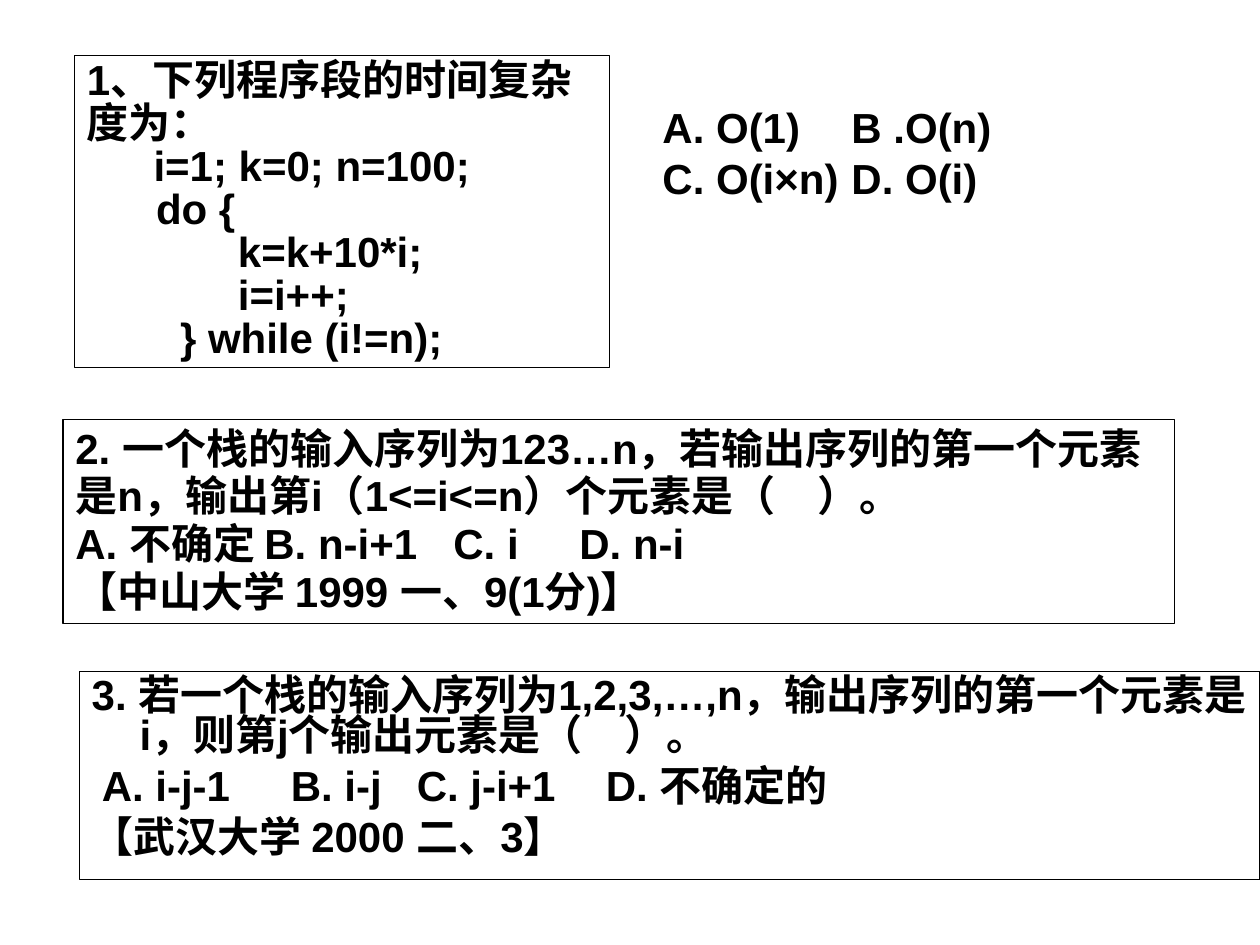
from pptx import Presentation
from pptx.dml.color import RGBColor
from pptx.enum.text import MSO_ANCHOR
from pptx.oxml.ns import qn
from pptx.util import Inches, Pt
from lxml.etree import SubElement

COLORS = {"ink": "000000"}
INK = RGBColor.from_string(COLORS["ink"])

# Paragraphs: text, left margin, first-line indent, tab stops (inches)
complexity = [
    ("1、下列程序段的时间复杂度为：", 0, 0, []),
    ("i=1; k=0; n=100;", 0.53, 0, []),
    ("do {", 0.55, 0, []),
    ("k=k+10*i;", 1.2, 0, []),
    ("i=i++;", 1.2, 0, []),
    ("} while (i!=n);", 0.74, 0, []),
]
complexity_options = [
    ("A. O(1)\tB .O(n)", 0, 0, [2.2]),
    ("C. O(i×n)\tD. O(i)", 0, 0, [2.04]),
]
stack_n = [
    ("2. 一个栈的输入序列为123…n，若输出序列的第一个元素是n，"
     "输出第i（1<=i<=n）个元素是（　）。", 0, 0, []),
    ("A. 不确定\tB. n-i+1\tC. i\tD. n-i", 0, 0, [2.35, 4.48, 6.1]),
    ("【中山大学 1999 一、9(1分)】", 0, 0, []),
]
stack_i = [
    ("3. 若一个栈的输入序列为1,2,3,…,n，输出序列的第一个元素是i，"
     "则第j个输出元素是（　）。", 0.38, -0.38, []),
    ("A. i-j-1\tB. i-j\tC. j-i+1\tD. 不确定的", 0.08, 0, [2.02, 3.85, 5.51]),
    ("【武汉大学 2000 二、3】", 0, 0, []),
]

# Boxes: left, top, width, height, line spacing, space before, framed, paragraphs
boxes = [
    (0.63, 5.33, 9.37, 1.65, 0.8, 6, True, stack_i),
    (0.59, 0.44, 4.25, 2.48, 0.85, 0, True, complexity),
    (0.5, 3.33, 8.82, 1.62, 0.95, 0, True, stack_n),
    (5.16, 0.76, 4.17, 0.9, 1.0, 0, False, complexity_options),
]

prs = Presentation()
prs.slide_width, prs.slide_height = Inches(10), Inches(7.5)
s = prs.slides.add_slide(prs.slide_layouts[6])

for left, top, width, height, spacing, before, framed, paragraphs in boxes:
    sp = s.shapes.add_textbox(Inches(left), Inches(top), Inches(width), Inches(height))
    if framed:
        sp.line.color.rgb = INK
        sp.line.width = Pt(0.75)
    tf = sp.text_frame
    tf.word_wrap = True
    tf.vertical_anchor = MSO_ANCHOR.TOP
    for i, (text, margin, indent, tabs) in enumerate(paragraphs):
        p = tf.add_paragraph() if i else tf.paragraphs[0]
        p.text = text
        p.line_spacing = spacing
        p.space_before = Pt(before)
        pPr = p._p.get_or_add_pPr()
        pPr.set("marL", str(Inches(margin)))
        pPr.set("indent", str(Inches(indent)))
        if tabs:
            tab_list = SubElement(pPr, qn("a:tabLst"))
            for tab in tabs:
                SubElement(tab_list, qn("a:tab"), pos=str(Inches(tab)), algn="l")
        for r in p.runs:
            r.font.name = "Arial"
            r.font.size = Pt(24)
            r.font.bold = True
            r.font.color.rgb = INK

prs.save("out.pptx")
